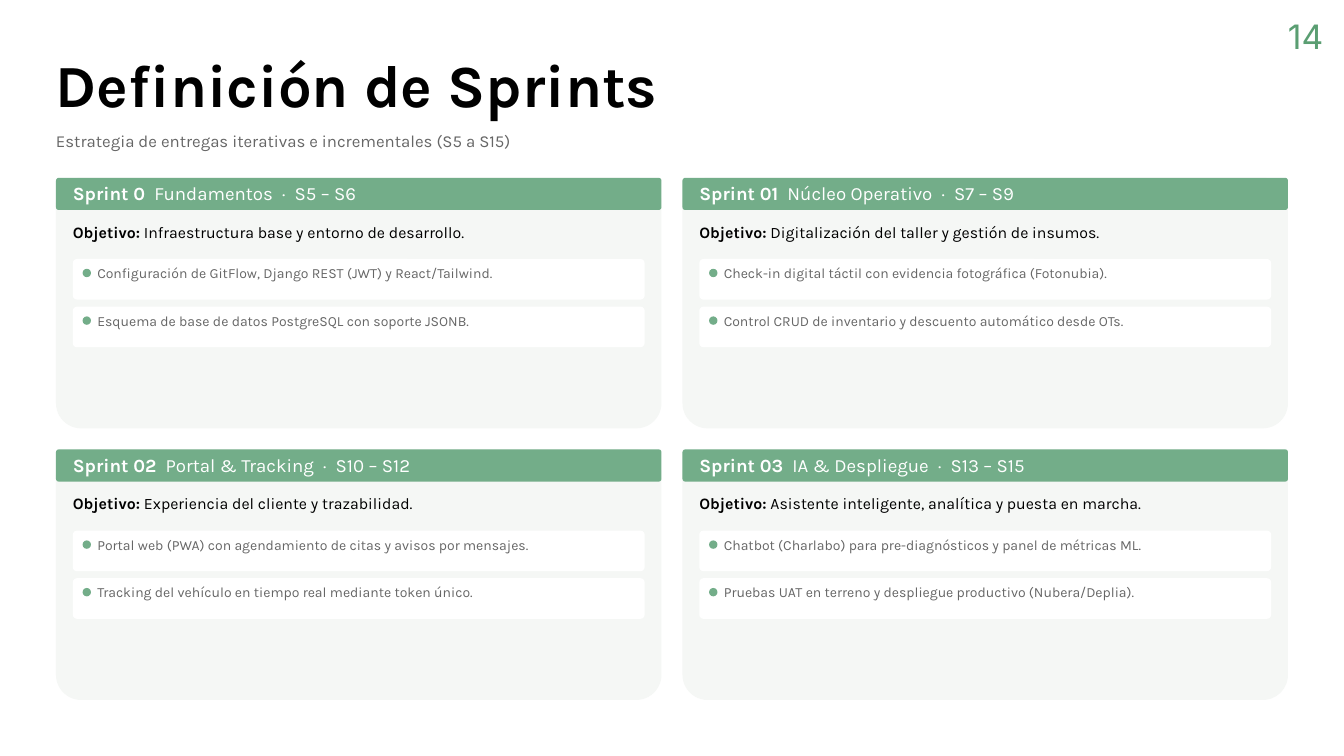
from pptx import Presentation, util as u
from pptx.dml.color import RGBColor
from pptx.enum import shapes, text

COLORS = {
    "ink": "000000",
    "muted": "666666",
    "white": "FFFFFF",
    "card": "F5F7F5",
    "green": "73AD89",
    "page": "5A9E72",
}

SPRINTS = [
    ("Sprint 0", "Fundamentos", "S5 – S6",
     "Infraestructura base y entorno de desarrollo.",
     ["Configuración de GitFlow, Django REST (JWT) y React/Tailwind.",
      "Esquema de base de datos PostgreSQL con soporte JSONB."]),
    ("Sprint 01", "Núcleo Operativo", "S7 – S9",
     "Digitalización del taller y gestión de insumos.",
     ["Check-in digital táctil con evidencia fotográfica (Fotonubia).",
      "Control CRUD de inventario y descuento automático desde OTs."]),
    ("Sprint 02", "Portal & Tracking", "S10 – S12",
     "Experiencia del cliente y trazabilidad.",
     ["Portal web (PWA) con agendamiento de citas y avisos por mensajes.",
      "Tracking del vehículo en tiempo real mediante token único."]),
    ("Sprint 03", "IA & Despliegue", "S13 – S15",
     "Asistente inteligente, analítica y puesta en marcha.",
     ["Chatbot (Charlabo) para pre-diagnósticos y panel de métricas ML.",
      "Pruebas UAT en terreno y despliegue productivo (Nubera/Deplia)."]),
]

MARGIN, TOP, GAP = 60, 190.5, 22.5
CARD_W, CARD_H = 648.75, 268.5
BAR_H = 34.5
INSET = 18
INNER_W = CARD_W - 2 * INSET
ITEM_H, ITEM_PITCH = 43.5, 51
DOT = 9


class SprintSlide:
    def __init__(self, slide, font="Karla"):
        self.slide = slide
        self.font = font

    def shape(self, kind, left, top, width, height, color):
        item = self.slide.shapes.add_shape(
            kind, u.Pt(left), u.Pt(top), u.Pt(width), u.Pt(height))
        item.shadow.inherit = False
        item.fill.solid()
        item.fill.fore_color.rgb = RGBColor.from_string(COLORS[color])
        item.line.fill.background()
        return item

    def panel(self, left, top, width, height, radius, color):
        panel = self.shape(shapes.MSO_SHAPE.ROUNDED_RECTANGLE,
                           left, top, width, height, color)
        panel.adjustments[0] = radius / min(width, height)

    def dot(self, left, top):
        self.shape(shapes.MSO_SHAPE.OVAL, left, top, DOT, DOT, "green")

    def label(self, left, top, width, height, parts, size, leading, color, font=None):
        """Write one line; parts are (words, bold) pairs, and a lone space is a wide gap."""
        box = self.slide.shapes.add_textbox(
            u.Pt(left), u.Pt(top), u.Pt(width), u.Pt(height))
        frame = box.text_frame
        frame.word_wrap = True
        frame.auto_size = text.MSO_AUTO_SIZE.SHAPE_TO_FIT_TEXT
        frame.margin_left = frame.margin_right = 0
        frame.margin_top = frame.margin_bottom = 0
        line = frame.paragraphs[0]
        line.line_spacing = u.Pt(leading)
        for words, bold in parts:
            run = line.add_run()
            run.text = words
            run.font.name = font or self.font
            run.font.size = u.Pt(size)
            run.font.bold = bold
            run.font.color.rgb = RGBColor.from_string(COLORS[color])
            if words == " ":
                run.font._element.set("spc", "500")

    def task(self, left, top, words):
        self.panel(left, top, INNER_W, ITEM_H, 4.5, "white")
        self.dot(left + 10.5, top + 10.5)
        self.label(left + 26.25, top + 3, 576.75, 20,
                   [(words, False)], 15, 21, "muted")

    def sprint(self, left, top, name, theme, weeks, goal, tasks):
        inner = left + INSET
        self.panel(left, top, CARD_W, CARD_H, 27, "card")
        self.panel(left, top, CARD_W, BAR_H, 3, "green")
        gap = (" ", False)
        heading = [(name, True), gap, (theme, False), gap,
                   ("·", False), gap, (weeks, False)]
        self.label(inner, top + 4.5, INNER_W, 24.5, heading, 20, 24, "white")
        self.label(inner, top + 42.75, INNER_W, 24.5,
                   [("Objetivo:", True), (f" {goal}", False)], 17, 25.5, "ink")
        for row, words in enumerate(tasks):
            self.task(inner, top + 87 + row * ITEM_PITCH, words)


def main():
    deck = Presentation()
    deck.slide_width, deck.slide_height = u.Pt(1440), u.Pt(810)
    page = SprintSlide(deck.slides.add_slide(deck.slide_layouts[6]))

    page.label(MARGIN, 57.75, 900, 72,
               [("Definición de Sprints", True)], 64, 70.4, "ink")
    page.label(MARGIN, 136.5, 900, 24,
               [("Estrategia de entregas iterativas e incrementales (S5 a S15)", False)],
               18, 25.2, "muted")
    for index, sprint in enumerate(SPRINTS):
        row, column = divmod(index, 2)
        page.sprint(MARGIN + column * (CARD_W + GAP),
                    TOP + row * (CARD_H + GAP), *sprint)
    page.label(1380, 9.5, 48, 49, [("14", False)], 36, 50.4, "page", font="Inter")

    deck.save("out.pptx")


if __name__ == "__main__":
    main()
